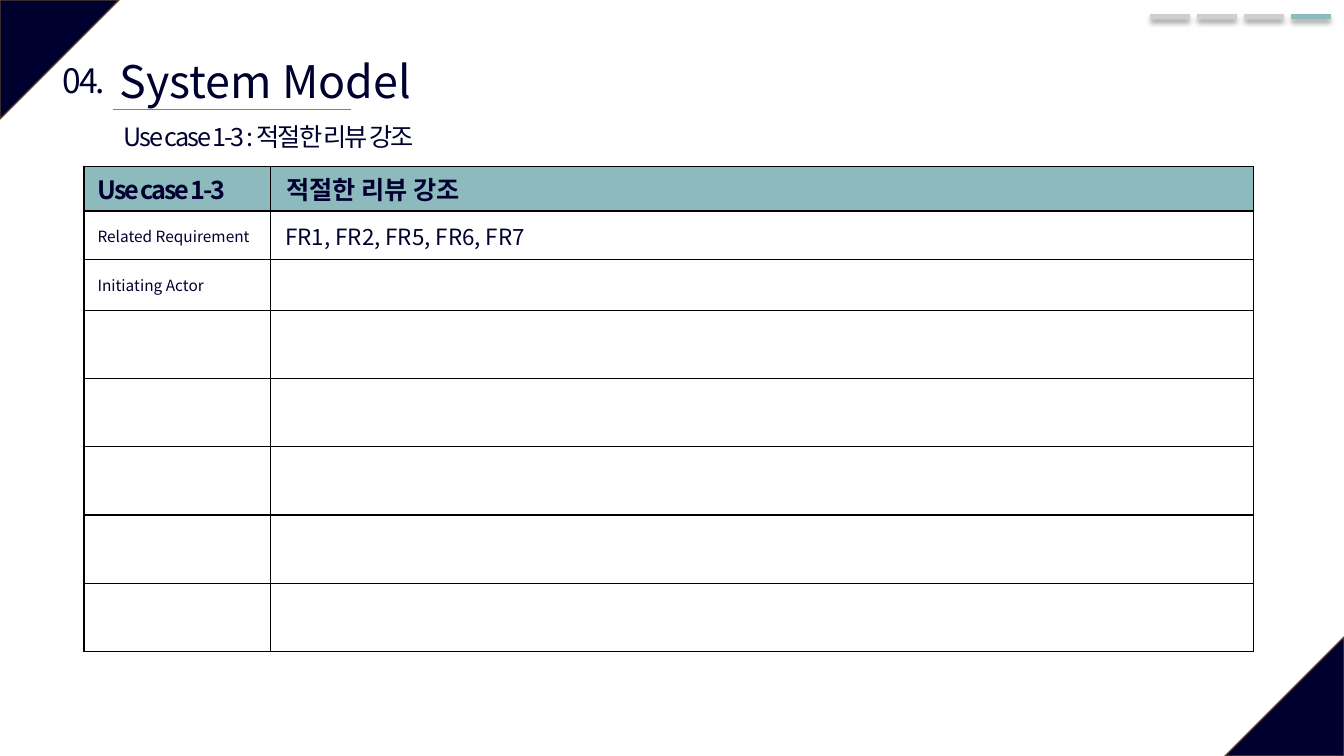
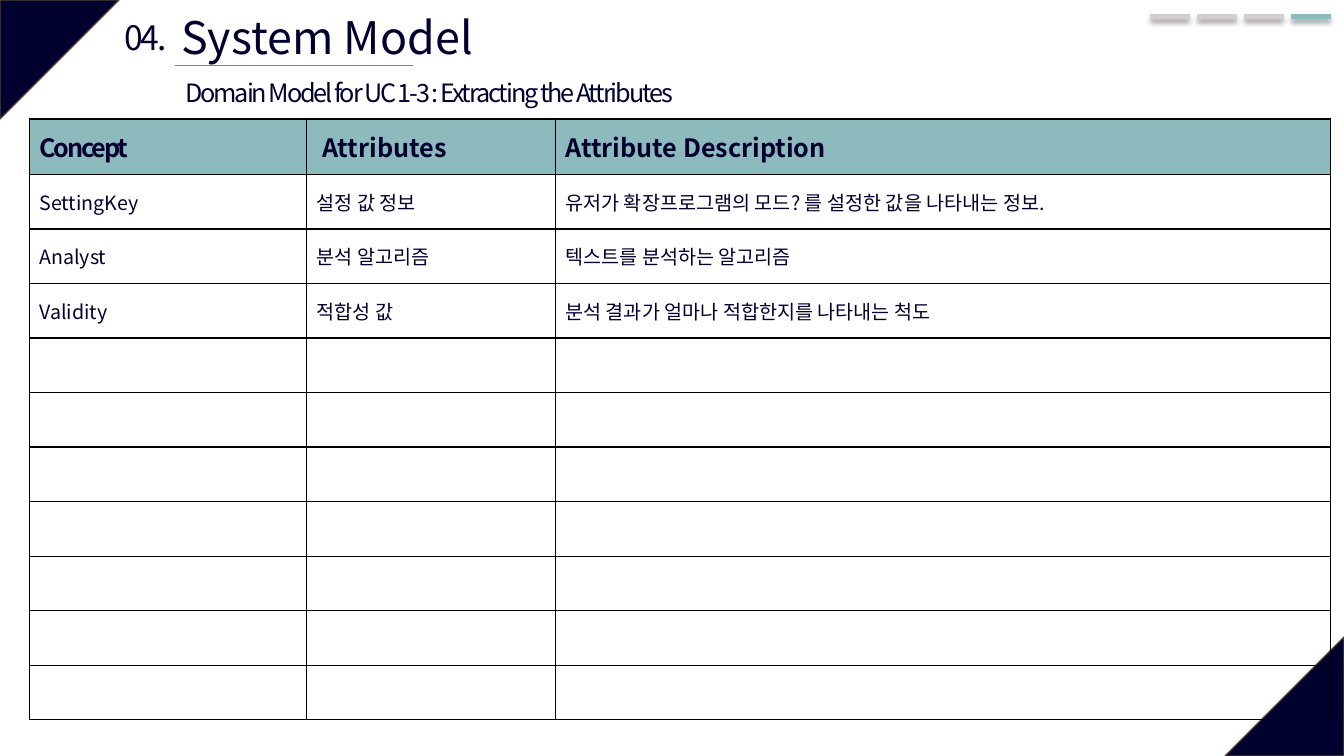
import dataclasses

import lxml.etree
import pptx
import pptx.dml.color
import pptx.enum.shapes
import pptx.enum.text
import pptx.oxml
import pptx.oxml.ns
import pptx.presentation
import pptx.shapes.connector
import pptx.slide
import pptx.table
import pptx.text.text
import pptx.util

NAVY = "00002F"
TEAL = "8DBABD"
SILVER = "D0CECE"
GRAY = "808080"
BROWN = "5B3F33"
BLACK = "000000"
FONT = "Noto Sans CJK KR"
SLIDE_WIDTH = 960
SLIDE_HEIGHT = 540
CORNER_SIZE = 85
TIGHT = -1.5
SECTION_COUNT = 4
CURRENT_SECTION = 3


@dataclasses.dataclass(frozen=True)
class TextStyle:
    size: float
    bold: bool = False
    spacing: float = 0


@dataclasses.dataclass(frozen=True)
class CellText:
    text: str
    style: TextStyle


@dataclasses.dataclass(frozen=True)
class TableContent:
    left: float
    top: float
    column_widths: list[float]
    row_heights: list[float]
    rows: list[list[CellText]]


@dataclasses.dataclass(frozen=True)
class SlideContent:
    title_left: float
    title_top: float
    subtitle: str
    subtitle_width: float
    table: TableContent


NUMBER = TextStyle(24, spacing=TIGHT)
TITLE = TextStyle(32)
SUBTITLE = TextStyle(18, spacing=TIGHT)
TIGHT_HEADER = TextStyle(18, bold=True, spacing=TIGHT)
HEADER = TextStyle(18, bold=True)
LABEL = TextStyle(11)
VALUE = TextStyle(16)
BODY = TextStyle(14)


def color(value: str) -> pptx.dml.color.RGBColor:
    return pptx.dml.color.RGBColor.from_string(value)


def child(parent: lxml.etree.ElementBase, tag: str, **attributes: str) -> lxml.etree.ElementBase:
    element = lxml.etree.SubElement(parent, pptx.oxml.ns.qn(tag))
    for name, value in attributes.items():
        element.set(name, value)
    return element


def add_run(paragraph: pptx.text.text._Paragraph, text: str, style: TextStyle) -> None:
    run = paragraph.add_run()
    run.text = text
    run.font.name = FONT
    run.font.size = pptx.util.Pt(style.size)
    run.font.bold = style.bold
    run.font.color.rgb = color(NAVY)
    properties = run.font._element
    properties.set("spc", str(round(style.spacing * 100)))
    child(properties, "a:ea", typeface=FONT)


def add_text(
    slide: pptx.slide.Slide,
    left: float,
    top: float,
    width: float,
    height: float,
    text: str,
    style: TextStyle,
    wrap: bool = False,
    alignment: pptx.enum.text.PP_ALIGN = pptx.enum.text.PP_ALIGN.LEFT,
) -> None:
    shape = slide.shapes.add_textbox(*map(pptx.util.Pt, (left, top, width, height)))
    frame = shape.text_frame
    frame.word_wrap = wrap
    frame.auto_size = pptx.enum.text.MSO_AUTO_SIZE.SHAPE_TO_FIT_TEXT
    paragraph = frame.paragraphs[0]
    paragraph.alignment = alignment
    add_run(paragraph, text, style)


def add_line(
    slide: pptx.slide.Slide, left: float, top: float, width: float, line_color: str, weight: float
) -> lxml.etree.ElementBase:
    connector = slide.shapes.add_connector(
        pptx.enum.shapes.MSO_CONNECTOR.STRAIGHT,
        *map(pptx.util.Pt, (left, top, left + width, top)),
    )
    connector.line.color.rgb = color(line_color)
    connector.line.width = pptx.util.Pt(weight)
    return child(connector._element.spPr, "a:effectLst")


def add_corner(slide: pptx.slide.Slide, left: float, top: float, rotation: float) -> None:
    shape = slide.shapes.add_shape(
        pptx.enum.shapes.MSO_SHAPE.ISOSCELES_TRIANGLE,
        *map(pptx.util.Pt, (left, top, CORNER_SIZE, CORNER_SIZE)),
    )
    shape.adjustments[0] = 0
    shape.rotation = rotation
    shape.shadow.inherit = False
    shape.fill.solid()
    shape.fill.fore_color.rgb = color(NAVY)
    shape.line.color.rgb = color(BROWN)
    shape.line.width = pptx.util.Pt(1)


def add_progress(slide: pptx.slide.Slide) -> None:
    for section in range(SECTION_COUNT):
        bar_color = TEAL if section == CURRENT_SECTION else SILVER
        effects = add_line(slide, 821.5 + section * 33.6, 11.5, 28.4, bar_color, 3.5)
        shadow = child(
            effects,
            "a:outerShdw",
            blurRad=str(pptx.util.Pt(4)),
            dist=str(pptx.util.Pt(3)),
            dir="5400000",
            algn="t",
            rotWithShape="0",
        )
        child(child(shadow, "a:srgbClr", val=BLACK), "a:alpha", val="40000")


def add_heading(slide: pptx.slide.Slide, content: SlideContent) -> None:
    left, top = content.title_left, content.title_top
    add_line(slide, left + 2.5, top + 43.2, 170, GRAY, 0.5)
    add_text(
        slide, left - 42.4, top + 5, 48, 36, "04.", NUMBER,
        alignment=pptx.enum.text.PP_ALIGN.CENTER,
    )
    add_text(slide, left, top, 245.5, 46, "System Model", TITLE, wrap=True)
    add_text(slide, left + 2.9, top + 48.2, content.subtitle_width, 29, content.subtitle, SUBTITLE)


def set_borders(cell: pptx.table._Cell) -> None:
    properties = cell._tc.get_or_add_tcPr()
    for side in ("a:lnL", "a:lnR", "a:lnT", "a:lnB"):
        border = child(properties, side, w=str(pptx.util.Pt(1)))
        child(child(border, "a:solidFill"), "a:srgbClr", val=BLACK)


def add_table(slide: pptx.slide.Slide, content: TableContent) -> None:
    widths, heights = content.column_widths, content.row_heights
    frame = slide.shapes.add_table(
        len(heights),
        len(widths),
        *map(pptx.util.Pt, (content.left, content.top, sum(widths), sum(heights))),
    )
    table = frame.table
    table.first_row = False
    table.horz_banding = False
    for column, width in zip(table.columns, widths):
        column.width = pptx.util.Pt(width)
    for row_index, (row, height) in enumerate(zip(table.rows, heights)):
        row.height = pptx.util.Pt(height)
        for cell in row.cells:
            cell.vertical_anchor = pptx.enum.text.MSO_ANCHOR.MIDDLE
            cell.margin_top = cell.margin_bottom = pptx.util.Pt(2)
            set_borders(cell)
            if row_index == 0:
                cell.fill.solid()
                cell.fill.fore_color.rgb = color(TEAL)
            else:
                cell.fill.background()
    for row, texts in zip(table.rows, content.rows):
        for cell, entry in zip(row.cells, texts):
            add_run(cell.text_frame.paragraphs[0], entry.text, entry.style)


def add_slide(presentation: pptx.presentation.Presentation, content: SlideContent) -> None:
    slide = presentation.slides.add_slide(presentation.slide_layouts[6])
    add_corner(slide, 0, 0, 90)
    add_corner(slide, SLIDE_WIDTH - CORNER_SIZE, SLIDE_HEIGHT - CORNER_SIZE, 270)
    add_heading(slide, content)
    add_progress(slide)
    add_table(slide, content.table)


def body_row(*texts: str) -> list[CellText]:
    return [CellText(text, BODY) for text in texts]


USE_CASE = SlideContent(
    title_left=78.4,
    title_top=34.6,
    subtitle="Use case 1-3 : 적절한 리뷰 강조",
    subtitle_width=231,
    table=TableContent(
        left=60,
        top=118.8,
        column_widths=[133.2, 702],
        row_heights=[32, 34.6, 36.4] + [48.7] * 5,
        rows=[
            [CellText(" Use case 1-3", TIGHT_HEADER), CellText(" 적절한 리뷰 강조", HEADER)],
            [CellText(" Related Requirement", LABEL), CellText(" FR1, FR2, FR5, FR6, FR7", VALUE)],
            [CellText(" Initiating Actor", LABEL)],
        ],
    ),
)

ATTRIBUTES = SlideContent(
    title_left=122.4,
    title_top=3.6,
    subtitle="Domain Model for UC 1-3 : Extracting the Attributes",
    subtitle_width=394.6,
    table=TableContent(
        left=20.9,
        top=85,
        column_widths=[198, 177.8, 553.7],
        row_heights=[39.6] + [38.95] * 10,
        rows=[
            [
                CellText("Concept", TIGHT_HEADER),
                CellText(" Attributes", HEADER),
                CellText("Attribute Description", HEADER),
            ],
            body_row("SettingKey", "설정 값 정보", "유저가 확장프로그램의 모드? 를 설정한 값을 나타내는 정보."),
            body_row("Analyst", "분석 알고리즘", "텍스트를 분석하는 알고리즘"),
            body_row("Validity", "적합성 값", "분석 결과가 얼마나 적합한지를 나타내는 척도"),
        ],
    ),
)


def main() -> None:
    presentation = pptx.Presentation()
    presentation.slide_width = pptx.util.Pt(SLIDE_WIDTH)
    presentation.slide_height = pptx.util.Pt(SLIDE_HEIGHT)
    for content in (USE_CASE, ATTRIBUTES):
        add_slide(presentation, content)
    presentation.save("out.pptx")


main()
